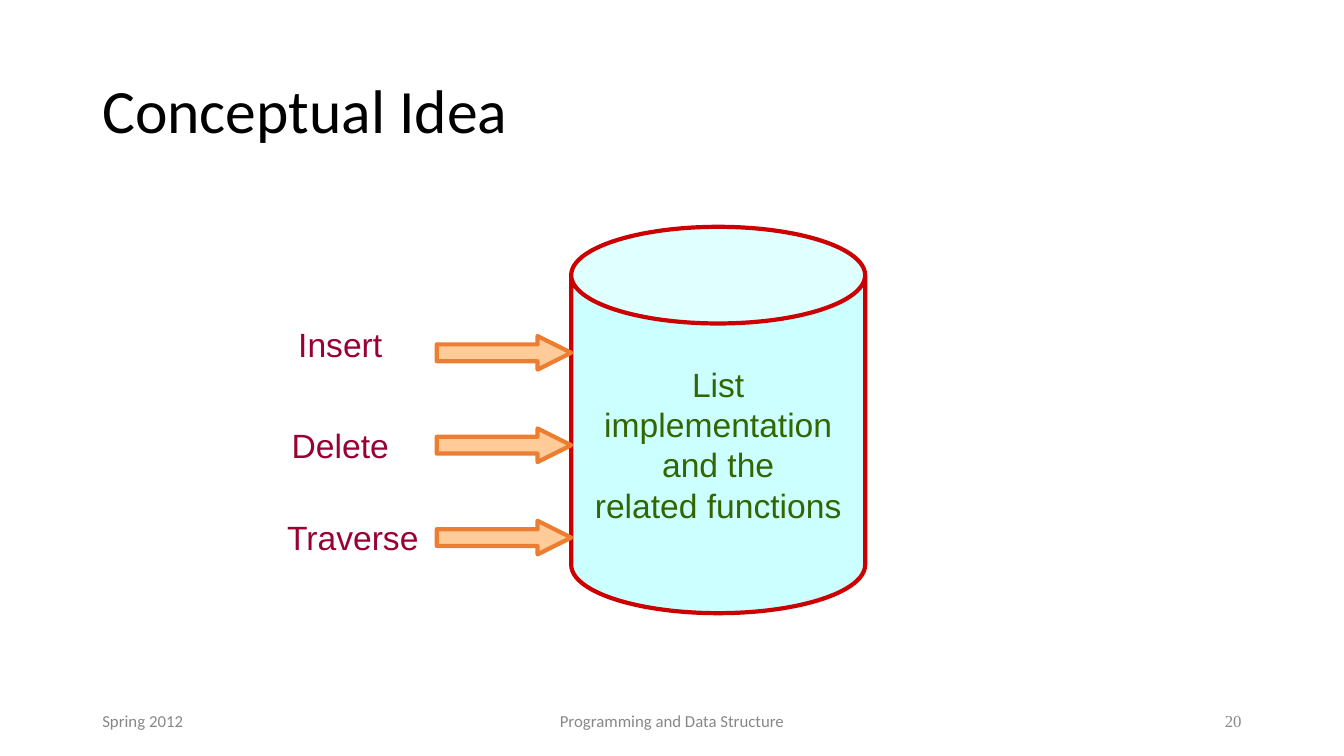
import pptx
import pptx.dml.color
import pptx.enum.shapes
import pptx.enum.text
import pptx.util

COLORS = {"title": "000000", "footer": "888888", "number": "898989",
          "store": "CCFFFF", "store_edge": "CC0000", "store_text": "336600",
          "arrow": "FFCC99", "arrow_edge": "ED7D31", "operation": "990033"}
COLUMNS, ROWS = 160, 90
ALIGN = pptx.enum.text.PP_ALIGN
ANCHOR = pptx.enum.text.MSO_ANCHOR
PRESET = pptx.enum.shapes.MSO_SHAPE


class ConceptSlide:
    """Draws text and outlined shapes on a slide divided into a fine grid."""

    def __init__(self, deck):
        self.slide = deck.slides.add_slide(deck.slide_layouts[6])
        self.column = deck.slide_width / COLUMNS
        self.row = deck.slide_height / ROWS

    def place(self, left, top, width, height):
        return (round(left * self.column), round(top * self.row),
                round(width * self.column), round(height * self.row))

    def color(self, name):
        return pptx.dml.color.RGBColor.from_string(COLORS[name])

    def fill_text(self, frame, lines, color, size, font, align, anchor, spacing=1.0):
        frame.word_wrap = True
        frame.vertical_anchor = anchor
        frame.text = "\n".join(lines)
        style = {"size": pptx.util.Pt(size), "name": font}
        for paragraph in frame.paragraphs:
            paragraph.alignment = align
            paragraph.line_spacing = spacing
            for run in paragraph.runs:
                for key, value in style.items():
                    setattr(run.font, key, value)
                run.font.color.rgb = self.color(color)

    def text(self, cell, words, color, size, font, align=ALIGN.LEFT,
             anchor=ANCHOR.MIDDLE, spacing=1.0):
        box = self.slide.shapes.add_textbox(*self.place(*cell))
        self.fill_text(box.text_frame, [words], color, size, font, align, anchor, spacing)

    def shape(self, preset, cell, fill, edge, adjustments):
        outline = self.slide.shapes.add_shape(preset, *self.place(*cell))
        outline.shadow.inherit = False
        outline.fill.solid()
        outline.fill.fore_color.rgb = self.color(fill)
        outline.line.color.rgb = self.color(edge)
        outline.line.width = pptx.util.Pt(3)
        for index, value in enumerate(adjustments):
            outline.adjustments[index] = value
        return outline


def main():
    deck = pptx.Presentation()
    deck.slide_width = pptx.util.Inches(13.33)
    deck.slide_height = pptx.util.Inches(7.5)
    concept = ConceptSlide(deck)

    concept.text((11, 4.8, 138, 17.4), "Conceptual Idea", "title", 44, "Calibri",
                 spacing=0.9)
    for left, width, words, color, font, align in (
            (11, 36, "Spring 2012", "footer", "Calibri", ALIGN.LEFT),
            (53, 54, "Programming and Data Structure", "footer", "Calibri", ALIGN.CENTER),
            (113, 36, "20", "number", "Times New Roman", ALIGN.RIGHT)):
        concept.text((left, 83.4, width, 4.8), words, color, 12, font, align)

    store = concept.shape(PRESET.CAN, (68, 27, 35, 46), "store", "store_edge", [0.329])
    concept.fill_text(store.text_frame,
                      ["List", "implementation", "and the", "related functions"],
                      "store_text", 24, "Arial", ALIGN.CENTER, ANCHOR.MIDDLE)

    operations = (("Insert", 38, 17), ("Delete", 50, 17), ("Traverse", 61, 20))
    for index, (operation, top, width) in enumerate(operations):
        concept.shape(PRESET.RIGHT_ARROW, (52, 40 + 11 * index, 16, 4),
                      "arrow", "arrow_edge", [0.5, 1])
        concept.text((32, top, width, 6), operation, "operation", 24, "Arial",
                     ALIGN.CENTER, ANCHOR.TOP)

    deck.save("out.pptx")


if __name__ == "__main__":
    main()
